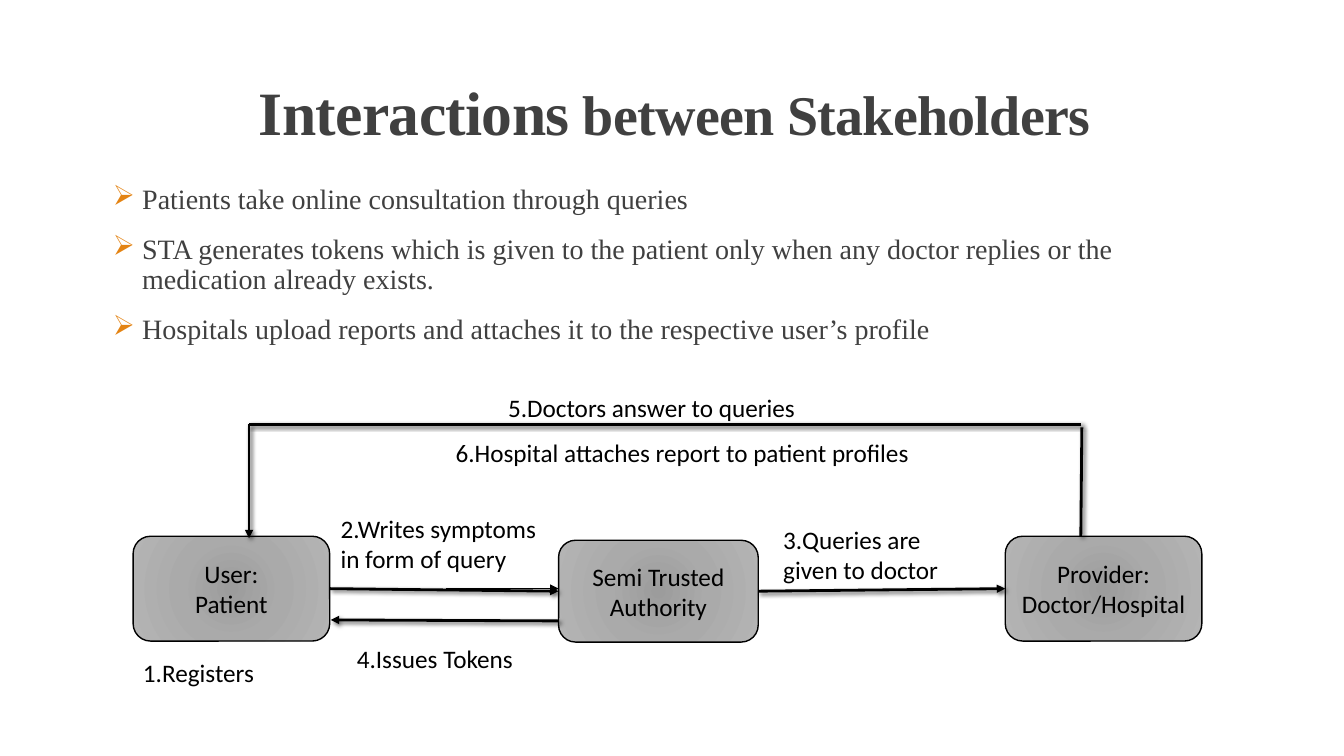
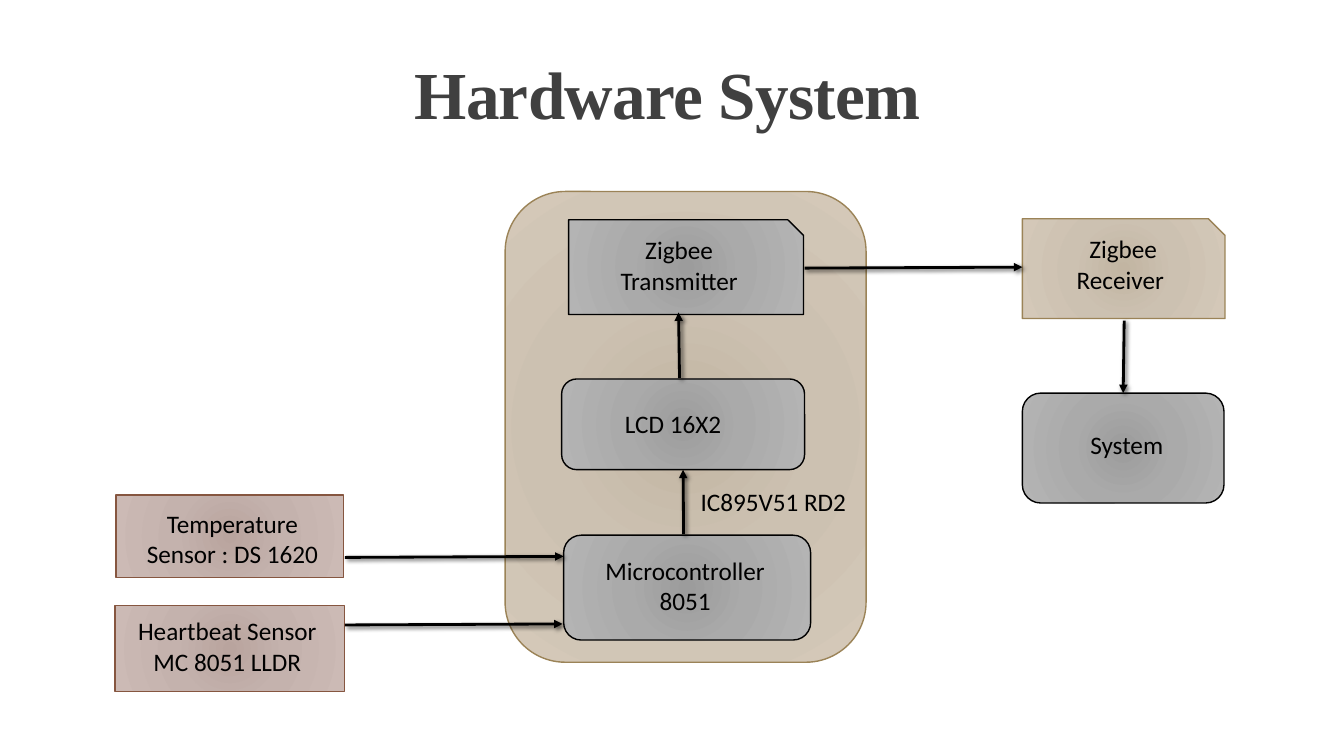
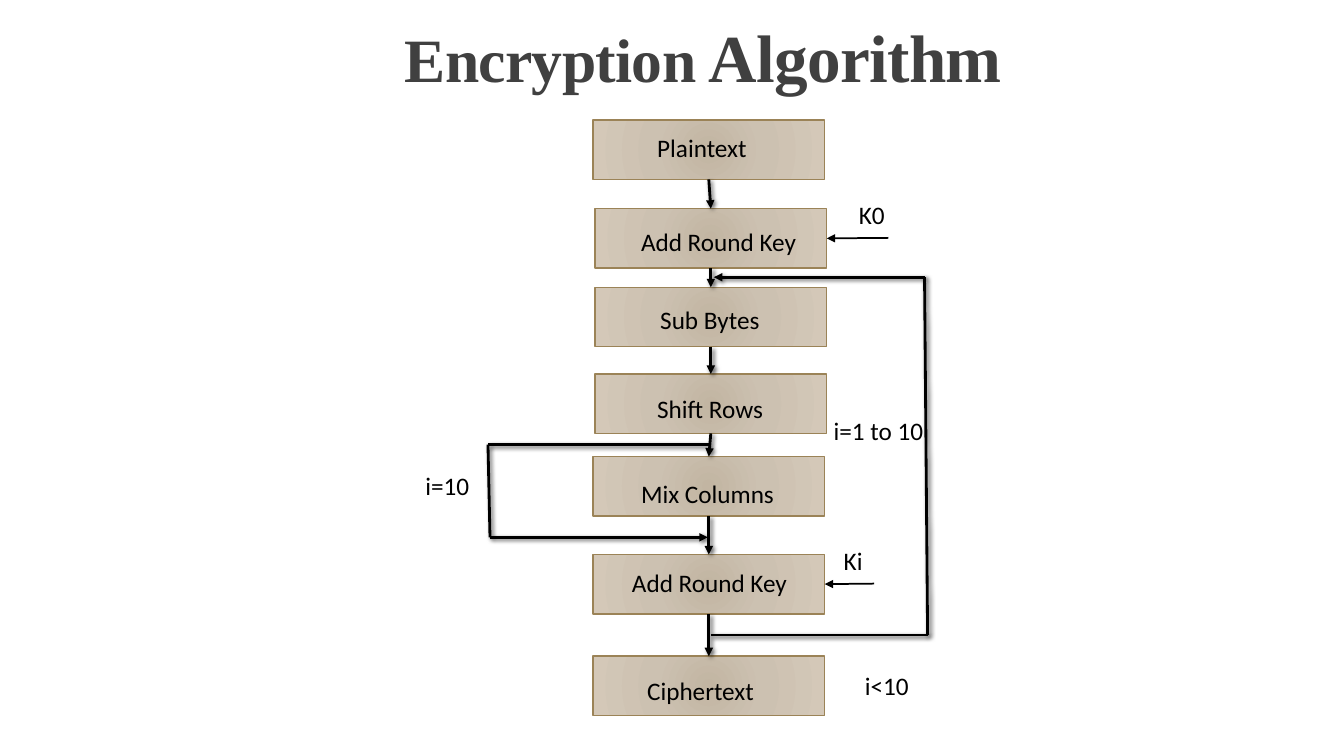
from pptx import Presentation
from pptx.dml.color import RGBColor
from pptx.enum.shapes import MSO_CONNECTOR, MSO_SHAPE
from pptx.enum.text import MSO_ANCHOR, MSO_AUTO_SIZE, PP_ALIGN
from pptx.oxml import parse_xml
from pptx.oxml.ns import nsdecls, qn
from pptx.util import Inches, Pt

ROUND, RECT, SNIP = (MSO_SHAPE.ROUNDED_RECTANGLE, MSO_SHAPE.RECTANGLE,
                     MSO_SHAPE.SNIP_1_RECTANGLE)
STRAIGHT = MSO_CONNECTOR.STRAIGHT
TOP, MIDDLE, BOTTOM = MSO_ANCHOR.TOP, MSO_ANCHOR.MIDDLE, MSO_ANCHOR.BOTTOM
LEFT, CENTER = PP_ALIGN.LEFT, PP_ALIGN.CENTER
FIT_SHAPE = MSO_AUTO_SIZE.SHAPE_TO_FIT_TEXT

# Connection sites of a rectangle
AT_TOP, AT_LEFT, AT_BOTTOM, AT_RIGHT = range(4)

BLACK = RGBColor(0x00, 0x00, 0x00)
DARK = RGBColor(0x40, 0x40, 0x40)
ORANGE = RGBColor(0xE4, 0x83, 0x12)

# Box styles: outline, then gradient colours from the centre outwards
GREY = (BLACK, [RGBColor(0x9C, 0x9C, 0x9C), RGBColor(0xAA, 0xAA, 0xAA),
                RGBColor(0xB4, 0xB4, 0xB4)])
SAND = (RGBColor(0x9B, 0x83, 0x57),
        [RGBColor(0xC2, 0xB5, 0xA2), RGBColor(0xCC, 0xC1, 0xB1),
         RGBColor(0xD4, 0xC8, 0xB8)])
ROSE = (RGBColor(0x86, 0x56, 0x40),
        [RGBColor(0xB9, 0xA4, 0x9E), RGBColor(0xC4, 0xB2, 0xAD),
         RGBColor(0xCC, 0xBA, 0xB5)])
STOPS = (0, 45, 100)

SERIF, SANS = "Times New Roman", "Calibri"


class Deck:
    def __init__(self):
        self.prs = Presentation()
        self.prs.slide_width = Inches(13.33)
        self.prs.slide_height = Inches(7.5)
        self.s = None

    def new_slide(self):
        self.s = self.prs.slides.add_slide(self.prs.slide_layouts[6])

    def run(self, p, text, size=18, font=SANS, color=BLACK, bold=False):
        r = p.add_run()
        r.text = text
        r.font.size = Pt(size)
        r.font.name = font
        r.font.bold = bold
        r.font.color.rgb = color
        return r

    def lines(self, tf, text, align):
        for i, line in enumerate(text.split("\n")):
            p = tf.add_paragraph() if i else tf.paragraphs[0]
            p.alignment = align
            self.run(p, line)

    def frame(self, at, anchor=TOP):
        tf = self.s.shapes.add_textbox(*map(Inches, at)).text_frame
        tf.word_wrap = True
        tf.vertical_anchor = anchor
        return tf

    def title(self, at, *runs):
        p = self.frame(at, BOTTOM).paragraphs[0]
        p.alignment = CENTER
        p.line_spacing = 0.85
        for text, size in runs:
            r = self.run(p, text, size, SERIF, DARK, True)
            r.font._element.set("spc", "-50")

    def bullets(self, at, items):
        tf = self.frame(at)
        tf.margin_left = tf.margin_right = 0
        for i, (text, indent) in enumerate(items):
            p = tf.add_paragraph() if i else tf.paragraphs[0]
            p.line_spacing = 0.9
            p.space_before, p.space_after = Pt(12), Pt(2)
            self.run(p, text, 20, SERIF, DARK)
            pPr = p._p.get_or_add_pPr()
            pPr.set("marL", str(Inches(indent)))
            pPr.set("indent", str(-Inches(indent)))
            pPr.append(parse_xml(f'<a:buClr {nsdecls("a")}>'
                                 f'<a:srgbClr val="{ORANGE}"/></a:buClr>'))
            pPr.append(parse_xml(f'<a:buChar {nsdecls("a")} char="➢"/>'))

    def label(self, at, text, align=LEFT):
        tf = self.frame(at)
        tf.auto_size = FIT_SHAPE
        self.lines(tf, text, align)

    def box(self, at, style, kind=RECT, text=None):
        outline, colors = style
        sp = self.s.shapes.add_shape(kind, *map(Inches, at))
        sp.shadow.inherit = False
        sp.line.color.rgb = outline
        sp.line.width = Pt(1)
        # Radial gradient in place of a plain fill
        sp.fill.background()
        stops = "".join(
            f'<a:gs pos="{pos * 1000}"><a:srgbClr val="{color}"/></a:gs>'
            for pos, color in zip(STOPS, colors))
        spPr = sp._element.spPr
        spPr.replace(spPr.find(qn("a:noFill")), parse_xml(
            f'<a:gradFill {nsdecls("a")}><a:gsLst>{stops}</a:gsLst>'
            '<a:path path="circle"><a:fillToRect l="100000" t="100000" '
            'r="100000" b="100000"/></a:path></a:gradFill>'))
        if text:
            tf = sp.text_frame
            tf.word_wrap = True
            tf.vertical_anchor = MIDDLE
            self.lines(tf, text, CENTER)
        return sp

    def line(self, start, end, head=True, width=2, shadow=True):
        """Each end is an (x, y) point or a (shape, site) pair."""
        points = [e if isinstance(e[0], (int, float)) else None
                  for e in (start, end)]
        xy = [Inches(v) for pt in points for v in pt or (0, 0)]
        c = self.s.shapes.add_connector(STRAIGHT, *xy)
        if points[0] is None:
            c.begin_connect(*start)
        if points[1] is None:
            c.end_connect(*end)
        c.line.color.rgb = BLACK
        c.line.width = Pt(width)
        if head:
            c.line._get_or_add_ln().append(
                parse_xml(f'<a:tailEnd {nsdecls("a")} type="triangle"/>'))
        effect = ('<a:outerShdw blurRad="38100" dist="25400" dir="2700000">'
                  f'<a:srgbClr val="{BLACK}"><a:alpha val="60000"/></a:srgbClr>'
                  '</a:outerShdw>') if shadow else ""
        c._element.spPr.append(parse_xml(
            f'<a:effectLst {nsdecls("a")}>{effect}</a:effectLst>'))

    def route(self, *points, head=True):
        """Straight pieces through the points, arrowhead on the last."""
        last = len(points) - 2
        for i, (a, b) in enumerate(zip(points, points[1:])):
            self.line(a, b, head and i == last)


def stakeholders(d):
    d.new_slide()
    d.title((1.19, 0.21, 11, 1.31),
            ("Interactions", 44), (" between Stakeholders", 40))
    d.bullets((1.12, 1.79, 11, 4.3), [
        (" Patients take online consultation through queries", 0.1),
        ("STA generates tokens which is given to the patient only when any "
         "doctor replies or the medication already exists.", 0.29),
        (" Hospitals upload reports and attaches it to the respective "
         "user’s profile", 0.1)])

    # Parties
    user = d.box((1.32, 5.32, 1.95, 1.04), GREY, ROUND, "User:\nPatient")
    sta = d.box((5.54, 5.36, 1.98, 1.01), GREY, ROUND,
                "Semi Trusted\nAuthority")
    provider = d.box((9.97, 5.32, 1.95, 1.04), GREY, ROUND,
                     "Provider:\nDoctor/Hospital")

    # Exchanges
    d.line((4.42, 5.84), (5.54, 5.84), width=1, shadow=False)
    d.line((user, AT_RIGHT), (sta, AT_LEFT))
    d.line((sta, AT_RIGHT), (provider, AT_LEFT))
    d.line((5.54, 6.16), (3.28, 6.15))
    d.line((10.72, 5.32), (10.73, 4.24), head=False)
    d.route((10.72, 4.21), (2.47, 4.21), (2.47, 5.34))

    for at, text in [
            ((1.32, 6.47, 3.93, 0.4), "1.Registers"),
            ((3.28, 5.04, 2.27, 0.71), "2.Writes symptoms in form of query"),
            ((7.67, 5.15, 2.13, 0.71), "3.Queries are given to doctor"),
            ((3.44, 6.33, 2.42, 0.4), "4.Issues Tokens"),
            ((4.94, 3.84, 3.71, 0.4), "5.Doctors answer to queries"),
            ((4.42, 4.29, 5.96, 0.4),
             "6.Hospital attaches report to patient profiles")]:
        d.label(at, text)


def hardware(d):
    d.new_slide()
    d.title((1.2, -0.19, 11, 1.56), ("Hardware System ", 48))

    # Board and its parts
    d.box((5.01, 1.9, 3.58, 4.67), SAND, ROUND)
    lcd = d.box((5.57, 3.76, 2.41, 0.9), GREY, ROUND)
    d.box((5.59, 5.31, 2.45, 1.04), GREY, ROUND)
    d.box((5.64, 2.18, 2.33, 0.94), GREY, SNIP)

    # Sensors and receiving side
    d.box((1.15, 4.91, 2.26, 0.82), ROSE)
    d.box((1.14, 6.01, 2.28, 0.85), ROSE)
    d.box((10.14, 2.17, 2.01, 0.99), SAND, SNIP)
    system = d.box((10.14, 3.9, 2, 1.09), GREY, ROUND)

    # Signal flow
    d.line((3.42, 5.53), (5.59, 5.52))
    d.line((3.42, 6.2), (5.58, 6.19))
    d.line((6.78, 5.3), (lcd, AT_BOTTOM))
    d.line((6.74, 3.75), (6.73, 3.1))
    d.line((7.98, 2.66), (10.14, 2.65))
    d.line((11.15, 3.18), (system, AT_TOP))

    d.label((6.1, 4, 1.26, 0.4), "LCD 16X2")
    d.label((6.85, 4.78, 1.68, 0.4), "IC895V51 RD2")
    for at, text in [
            ((5.85, 5.46, 1.89, 0.71), "Microcontroller 8051"),
            ((1.31, 4.99, 1.99, 0.71), "Temperature Sensor : DS 1620"),
            ((1.25, 6.06, 2.01, 0.71), "Heartbeat Sensor\nMC 8051 LLDR"),
            ((6.04, 2.28, 1.39, 0.71), "Zigbee Transmitter"),
            ((10.37, 2.27, 1.54, 0.71), "Zigbee Receiver "),
            ((10.5, 4.21, 1.35, 0.4), "System")]:
        d.label(at, text, CENTER)


def encryption(d):
    d.new_slide()
    d.title((1.56, 0, 10.83, 1), ("Encryption", 44), (" Algorithm", 48))

    # Steps: name, box corner, label corner
    steps = [("Plaintext", (5.88, 1.19), (6.42, 1.26)),
             ("Add Round Key", (5.9, 2.07), (6.26, 2.2)),
             ("Sub Bytes", (5.9, 2.85), (6.45, 2.97)),
             ("Shift Rows", (5.9, 3.71), (6.42, 3.85)),
             ("Mix Columns", (5.88, 4.53), (6.26, 4.7)),
             ("Add Round Key", (5.88, 5.5), (6.17, 5.58)),
             ("Ciphertext", (5.88, 6.51), (6.32, 6.65))]
    boxes = [d.box((*corner, 2.3, 0.59), SAND) for _, corner, _ in steps]
    for upper, lower in zip(boxes, boxes[1:]):
        d.line((upper, AT_BOTTOM), (lower, AT_TOP))

    # Last round skips a step; the others loop back
    d.route((7.03, 4.41), (4.84, 4.41), (4.86, 5.33), (7.02, 5.33))
    d.route((7.05, 6.3), (9.2, 6.3), (9.17, 2.75), (7.08, 2.75))

    # Round keys
    for start, key_step in [((8.81, 2.36), boxes[1]),
                            ((8.67, 5.79), boxes[5])]:
        d.line(start, (key_step, AT_RIGHT), width=1.25, shadow=False)

    for name, _, corner in steps:
        d.label((*corner, 1.9, 0.4), name)
    for x, y, width, text in [(8.42, 1.93, 0.51, "K0"),
                              (8.27, 5.36, 0.54, "Ki"),
                              (4.12, 4.62, 0.69, "i=10"),
                              (8.48, 6.6, 0.7, "i<10"),
                              (8.17, 4.07, 1.18, "i=1 to 10")]:
        d.label((x, y, width, 0.4), text)


def main():
    d = Deck()
    stakeholders(d)
    hardware(d)
    encryption(d)
    d.prs.save("out.pptx")


if __name__ == "__main__":
    main()
